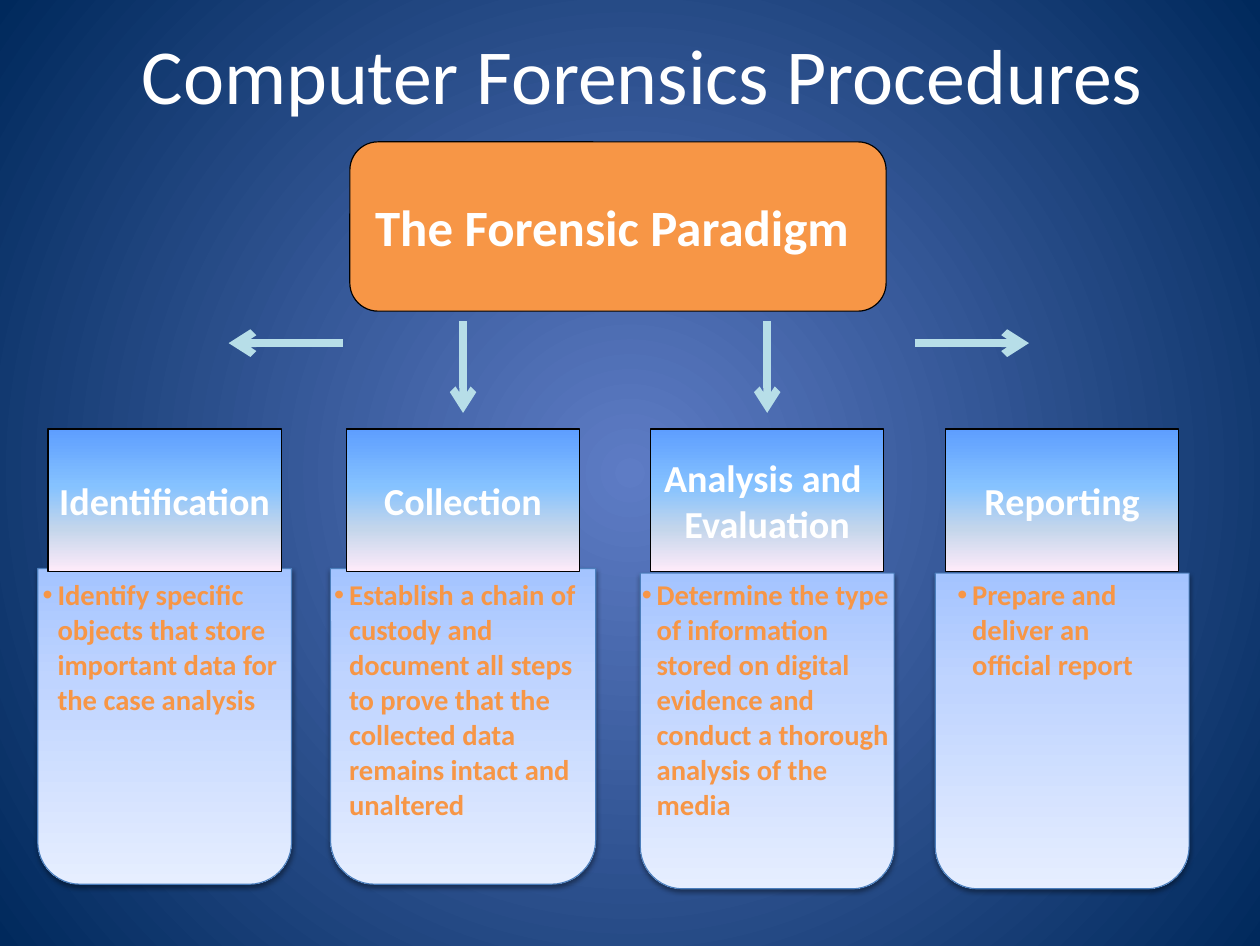
from lxml.etree import SubElement as Sub
from pptx import Presentation
from pptx.dml.color import RGBColor
from pptx.enum.shapes import MSO_CONNECTOR as Link, MSO_SHAPE as Kind
from pptx.enum.text import MSO_ANCHOR as Anchor, PP_ALIGN as Align
from pptx.oxml.ns import qn
from pptx.util import Inches, Pt

WHITE = RGBColor(0xFF, 0xFF, 0xFF)
BLACK = RGBColor(0, 0, 0)
ORANGE = RGBColor(0xF7, 0x96, 0x46)
AQUA = RGBColor(0xB7, 0xDE, 0xE8)
EDGE = RGBColor(0x4B, 0x7E, 0xBC)
NIGHT = [(0, RGBColor(0x5E, 0x7C, 0xC5)), (100, RGBColor(0x00, 0x29, 0x5C))]
SKY = [(0, RGBColor(0x5E, 0x9E, 0xFF)), (40, RGBColor(0x85, 0xC2, 0xFF)),
       (70, RGBColor(0xC4, 0xD6, 0xEB)), (100, RGBColor(0xFF, 0xEB, 0xFA))]
ICE = [(0, RGBColor(0xA4, 0xC4, 0xFF)), (35, RGBColor(0xBF, 0xD4, 0xFF)),
       (100, RGBColor(0xE6, 0xEE, 0xFF))]


def add(node, tag, **attrs):
    """Append a drawing element with the given attributes."""
    return Sub(node, qn(tag), {key: str(val) for key, val in attrs.items()})


def blend(fill, root, stops, angle=None):
    """Fill with a linear gradient, or a round one when no angle is given."""
    fill.gradient()
    grad = next(root.iter(qn("a:gradFill")))
    for child in list(grad):
        grad.remove(child)
    group = add(grad, "a:gsLst")
    for pos, color in stops:
        stop = add(group, "a:gs", pos=pos * 1000)
        add(stop, "a:srgbClr", val=color)
    if angle is None:
        ring = add(grad, "a:path", path="circle")
        add(ring, "a:fillToRect", l=50000, t=50000, r=50000, b=50000)
    else:
        add(grad, "a:lin", ang=angle * 60000, scaled=0)


def write(shape, text, size, color=WHITE, bold=True, align=Align.CENTER,
          anchor=Anchor.MIDDLE, wrap=True, pitch=None, bullet=False):
    """Write one paragraph for each line of text."""
    frame = shape.text_frame
    frame.word_wrap, frame.vertical_anchor = wrap, anchor
    frame.text = text
    for para in frame.paragraphs:
        para.alignment = align
        if pitch:
            para.line_spacing = Pt(pitch)
        font = para.font
        for item in [font] + [run.font for run in para.runs]:
            item.name, item.size, item.bold = "Calibri", Pt(size), bold
            item.color.rgb = color
        if bullet:
            props = para._p.get_or_add_pPr()
            props.set("marL", str(Inches(0.13)))
            props.set("indent", str(Inches(-0.13)))
            mark = props.find(qn("a:defRPr"))
            for tag, attrs in (("a:buFont", {"typeface": "Arial"}),
                               ("a:buChar", {"char": "•"})):
                mark.addprevious(add(props, tag, **attrs))


def block(slide, kind, box, edge):
    """Add a thinly outlined shape without a shadow."""
    shape = slide.shapes.add_shape(kind, *map(Inches, box))
    shape.shadow.inherit = False
    shape.line.color.rgb, shape.line.width = edge, Pt(0.75)
    return shape


def label(slide, box, text, size, **style):
    """Add a text box."""
    shape = slide.shapes.add_textbox(*map(Inches, box))
    write(shape, text, size, **style)


def tip(shape, width):
    """Style a line and put an arrowhead at its end."""
    shape.line.color.rgb, shape.line.width = AQUA, Pt(width)
    props = shape._element.spPr
    add(props.find(qn("a:ln")), "a:tailEnd", type="arrow")
    add(props, "a:effectLst")


def drop(slide, x, top, drop_by):
    """Draw a straight arrow downwards."""
    ends = map(Inches, (x, top, x, top + drop_by))
    tip(slide.shapes.add_connector(Link.STRAIGHT, *ends), 4.75)


def bend(slide, x, top, way):
    """Draw a curved arrow outwards, way being -1 for left and 1 for right."""
    knots = [(0, 0), (0.31, 0.09), (0.58, 0.27), (0.77, 0.52)]
    steps, dots = 16, []
    for step in range(steps + 1):
        t = step / steps
        parts = ((1 - t) ** 3, 3 * t * (1 - t) ** 2, 3 * t * t * (1 - t), t ** 3)
        dx = sum(part * knot[0] for part, knot in zip(parts, knots))
        dy = sum(part * knot[1] for part, knot in zip(parts, knots))
        dots.append((x + way * dx, top + dy))
    pen = slide.shapes.build_freeform(*dots[0], scale=Inches(1))
    pen.add_line_segments(dots[1:], close=False)
    shape = pen.convert_to_shape()
    shape.fill.background()
    tip(shape, 5)


def banner(slide, box):
    """Add the orange box that names the paradigm."""
    shape = block(slide, Kind.ROUNDED_RECTANGLE, box, BLACK)
    shape.fill.solid()
    shape.fill.fore_color.rgb = ORANGE
    write(shape, "The Forensic Paradigm ", 32)


def column(slide, box, head, body, span):
    """Add a card with its heading above and its bullet, all on one axis."""
    left, top, width, height = box
    mid = left + width / 2
    card = block(slide, Kind.ROUND_2_SAME_RECTANGLE, box, EDGE)
    card.rotation = 180
    blend(card.fill, card._element.spPr, ICE, 270)
    glow = add(card._element.spPr.find(qn("a:effectLst")), "a:outerShdw",
               blurRad=Pt(3.1), dist=Pt(1.6), dir=5400000, rotWithShape=0)
    add(add(glow, "a:srgbClr", val=BLACK), "a:alpha", val=38000)
    label(slide, (mid - span / 2, 4.99, span, 2.26), body, 18, color=ORANGE,
          align=Align.LEFT, anchor=Anchor.TOP, pitch=22, bullet=True)
    plate = block(slide, Kind.RECTANGLE, (mid - 1.02, 3.75, 2.04, 1.25), BLACK)
    blend(plate.fill, plate._element.spPr, SKY, 90)
    write(plate, head, 24, wrap=False)


def main():
    """Build the slide and save it."""
    deck = Presentation()
    deck.slide_width, deck.slide_height = Inches(11.02), Inches(8.27)
    slide = deck.slides.add_slide(deck.slide_layouts[6])
    blend(slide.background.fill, slide._element, NIGHT)
    label(slide, (0.55, 0.33, 10.13, 0.62), "Computer Forensics Procedures",
          49, bold=False)
    banner(slide, (3.06, 1.24, 4.69, 1.48))
    steps = [
        (0.33, 4.97, 2.22, "Identification", 2.33,
         "Identify specific objects that store important data for the case "
         "analysis"),
        (2.89, 4.97, 2.32, "Collection", 2.45,
         "Establish a chain of custody and document all steps to prove that "
         "the collected data remains intact and unaltered "),
        (5.6, 5.01, 2.22, "Analysis and \nEvaluation", 2.39,
         "Determine the type of information stored on digital evidence and "
         "conduct a thorough analysis of the media"),
        (8.18, 5.01, 2.22, "Reporting", 2.03,
         "Prepare and deliver an official report"),
    ]
    for left, top, width, head, span, body in steps:
        column(slide, (left, top, width, 2.76), head, body, span)
    for x in (4.05, 6.71):
        drop(slide, x, 2.81, 0.8)
    bend(slide, 2.73, 2.8, -1)
    bend(slide, 7.93, 2.83, 1)
    deck.save("out.pptx")


main()
